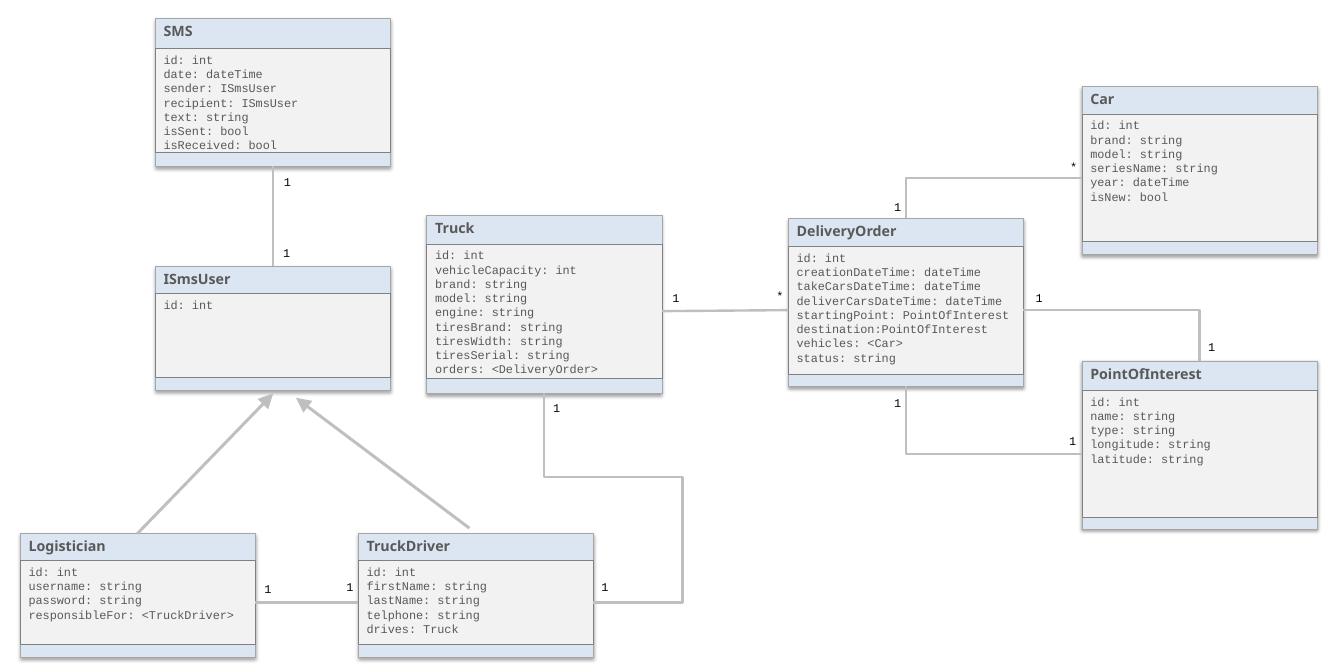
from dataclasses import dataclass
from typing import NamedTuple

from lxml.etree import SubElement
from pptx import Presentation
from pptx.dml.color import RGBColor
from pptx.enum.shapes import MSO_CONNECTOR, MSO_SHAPE
from pptx.enum.text import MSO_ANCHOR, MSO_AUTO_SIZE, PP_ALIGN
from pptx.oxml.ns import qn
from pptx.util import Cm, Pt

COLORS = {
    "header": "DCE6F2", "header_line": "A6A6A6",
    "body": "F2F2F2", "body_line": "808080",
    "text": "595959", "label": "000000",
    "link": "BFBFBF", "shadow": "000000",
}
HEAD_FONT, CODE_FONT = "Noto Sans", "Courier New"
BOX_W = 7.0
TOP, LEFT, BOTTOM, RIGHT = range(4)


@dataclass
class ClassBox:
    name: str
    x: float
    y: float
    h: float
    head: float
    body_h: float
    fields: list[str]


class Bend(NamedTuple):
    preset: str
    turn: int
    flip: str
    adjust: tuple[int, ...] = ()


class Link(NamedTuple):
    start: str
    start_side: int
    end: str
    end_side: int
    bend: Bend | None = None


class Arrow(NamedTuple):
    x1: float
    y1: float
    x2: float
    y2: float


class Label(NamedTuple):
    text: str
    x: float
    y: float


BOXES = [
    ClassBox("Logistician", 0.6, 15.87, 3.7, 0.81, 2.5, [
        "id: int", "username: string", "password: string", "responsibleFor: <TruckDriver>"]),
    ClassBox("SMS", 4.62, 0.55, 4.4, 0.89, 3.1, [
        "id: int", "date: dateTime", "sender: ISmsUser", "recipient: ISmsUser",
        "text: string", "isSent: bool", "isReceived: bool"]),
    ClassBox("TruckDriver", 10.66, 15.87, 3.7, 0.81, 2.5, [
        "id: int", "firstName: string", "lastName: string", "telphone: string", "drives: Truck"]),
    ClassBox("Truck", 12.7, 6.4, 5.3, 0.86, 4.0, [
        "id: int", "vehicleCapacity: int", "brand: string", "model: string", "engine: string",
        "tiresBrand: string", "tiresWidth: string", "tiresSerial: string",
        "orders: <DeliveryOrder>"]),
    ClassBox("DeliveryOrder", 23.46, 6.49, 5.0, 0.84, 3.8, [
        "id: int", "creationDateTime: dateTime", "takeCarsDateTime: dateTime",
        "deliverCarsDateTime: dateTime", "startingPoint: PointOfInterest",
        "destination:PointOfInterest", "vehicles: <Car>", "status: string"]),
    ClassBox("Car", 32.2, 2.57, 5.0, 0.82, 3.8, [
        "id: int", "brand: string", "model: string", "seriesName: string",
        "year: dateTime", "isNew: bool"]),
    ClassBox("PointOfInterest", 32.2, 10.74, 5.0, 0.87, 3.8, [
        "id: int", "name: string", "type: string", "longitude: string", "latitude: string"]),
    ClassBox("ISmsUser", 4.62, 7.93, 3.7, 0.8, 2.5, ["id: int"]),
]
LINKS = [
    Link("Truck", RIGHT, "DeliveryOrder", LEFT),
    Link("SMS", BOTTOM, "ISmsUser", TOP),
    Link("Logistician", RIGHT, "TruckDriver", LEFT),
    Link("DeliveryOrder", BOTTOM, "PointOfInterest", LEFT, Bend("bentConnector2", 270, "flipH")),
    Link("Car", LEFT, "DeliveryOrder", TOP, Bend("bentConnector2", 180, "flipV")),
    Link("PointOfInterest", TOP, "DeliveryOrder", RIGHT, Bend("bentConnector2", 270, "flipV")),
    Link("Truck", BOTTOM, "TruckDriver", RIGHT,
         Bend("bentConnector4", 270, "flipH", (40000, 282000))),
]
ARROWS = [Arrow(13.97, 15.72, 8.81, 11.84), Arrow(4.09, 15.88, 8.13, 11.71)]
LABELS = [
    Label("1", 8.2, 5.08), Label("1", 8.18, 7.19),
    Label("1", 19.76, 8.53), Label("*", 22.86, 8.46),
    Label("1", 26.36, 11.65), Label("1", 31.57, 12.78),
    Label("1", 30.57, 8.53), Label("1", 35.71, 9.98),
    Label("1", 26.36, 5.82), Label("*", 31.6, 4.62),
    Label("1", 17.65, 17.12), Label("1", 16.21, 11.79),
    Label("1", 7.62, 17.18), Label("1", 10.06, 17.12),
]


def rgb(key: str) -> RGBColor:
    return RGBColor.from_string(COLORS[key])


def write(tf, text: str, font: str, size: float, color: str, bold: bool = False) -> None:
    tf.text = text
    for p in tf.paragraphs:
        p.alignment = PP_ALIGN.LEFT
        for r in p.runs:
            r.font.name, r.font.size, r.font.bold = font, Pt(size), bold
            r.font.color.rgb = rgb(color)


def add_box(shapes, kind, x: float, y: float, h: float, fill: str):
    sp = shapes.add_shape(kind, Cm(x), Cm(y), Cm(BOX_W), Cm(h))
    sp.shadow.inherit = False
    sp.fill.solid()
    sp.fill.fore_color.rgb = rgb(fill)
    sp.line.color.rgb = rgb(fill + "_line")
    sp.line.width = Pt(0.5)
    sp.text_frame.vertical_anchor = MSO_ANCHOR.TOP
    sp.text_frame.word_wrap = True
    return sp


def add_shadow(sp) -> None:
    effects = sp._element.spPr.find(qn("a:effectLst"))
    shadow = SubElement(effects, qn("a:outerShdw"), blurRad=str(Pt(3.1)), dist=str(Pt(1.8)),
                        dir="5400000", algn="t", rotWithShape="0")
    color = SubElement(shadow, qn("a:srgbClr"), val=COLORS["shadow"])
    SubElement(color, qn("a:alpha"), val="35000")


def add_class(s, box: ClassBox) -> tuple:
    shapes = s.shapes.add_group_shape().shapes
    frame = add_box(shapes, MSO_SHAPE.ROUNDED_RECTANGLE, box.x, box.y, box.h, "header")
    frame.adjustments[0] = 0
    add_shadow(frame)
    write(frame.text_frame, box.name, HEAD_FONT, 12, "text", bold=True)
    body = add_box(shapes, MSO_SHAPE.RECTANGLE, box.x, box.y + box.head, box.body_h, "body")
    write(body.text_frame, "\n".join(box.fields), CODE_FONT, 10, "text")
    return frame, body


def add_line(s, kind, ends: Arrow, width: float):
    c = s.shapes.add_connector(kind, *(Cm(v) for v in ends))
    c.line.color.rgb = rgb("link")
    c.line.width = Pt(width)
    SubElement(c._element.spPr, qn("a:effectLst"))
    return c


def bend_line(c, bend: Bend) -> None:
    mid_x, mid_y = (c.begin_x + c.end_x) // 2, (c.begin_y + c.end_y) // 2
    w, h = c.width, c.height
    if bend.turn % 180:
        w, h = h, w
    c.left, c.top, c.width, c.height = mid_x - w // 2, mid_y - h // 2, w, h
    xfrm = c._element.spPr.find(qn("a:xfrm"))
    for flip in ("flipH", "flipV"):
        xfrm.set(flip, str(int(flip == bend.flip)))
    xfrm.set("rot", str(bend.turn * 60000))
    geom = c._element.spPr.find(qn("a:prstGeom"))
    geom.set("prst", bend.preset)
    for i, value in enumerate(bend.adjust, 1):
        SubElement(geom.find(qn("a:avLst")), qn("a:gd"), name=f"adj{i}", fmla=f"val {value}")


def add_link(s, link: Link, classes: dict[str, tuple]) -> None:
    kind = MSO_CONNECTOR.ELBOW if link.bend else MSO_CONNECTOR.STRAIGHT
    c = add_line(s, kind, Arrow(0, 0, 1, 1), 2)
    c.begin_connect(classes[link.start][link.start_side % 2], link.start_side)
    c.end_connect(classes[link.end][link.end_side % 2], link.end_side)
    if link.bend:
        bend_line(c, link.bend)


def add_arrow(s, arrow: Arrow) -> None:
    c = add_line(s, MSO_CONNECTOR.STRAIGHT, arrow, 2.5)
    SubElement(c.line._get_or_add_ln(), qn("a:tailEnd"), type="triangle", w="lg", len="lg")


def add_label(s, label: Label) -> None:
    tf = s.shapes.add_textbox(Cm(label.x), Cm(label.y), Cm(0.61), Cm(0.69)).text_frame
    tf.word_wrap = False
    tf.auto_size = MSO_AUTO_SIZE.SHAPE_TO_FIT_TEXT
    write(tf, label.text, CODE_FONT, 10, "label")


def main() -> None:
    prs = Presentation()
    prs.slide_width, prs.slide_height = Cm(40), Cm(20)
    s = prs.slides.add_slide(prs.slide_layouts[6])
    classes = {box.name: add_class(s, box) for box in BOXES}
    for link in LINKS:
        add_link(s, link, classes)
    for arrow in ARROWS:
        add_arrow(s, arrow)
    for label in LABELS:
        add_label(s, label)
    prs.save("out.pptx")


if __name__ == "__main__":
    main()
